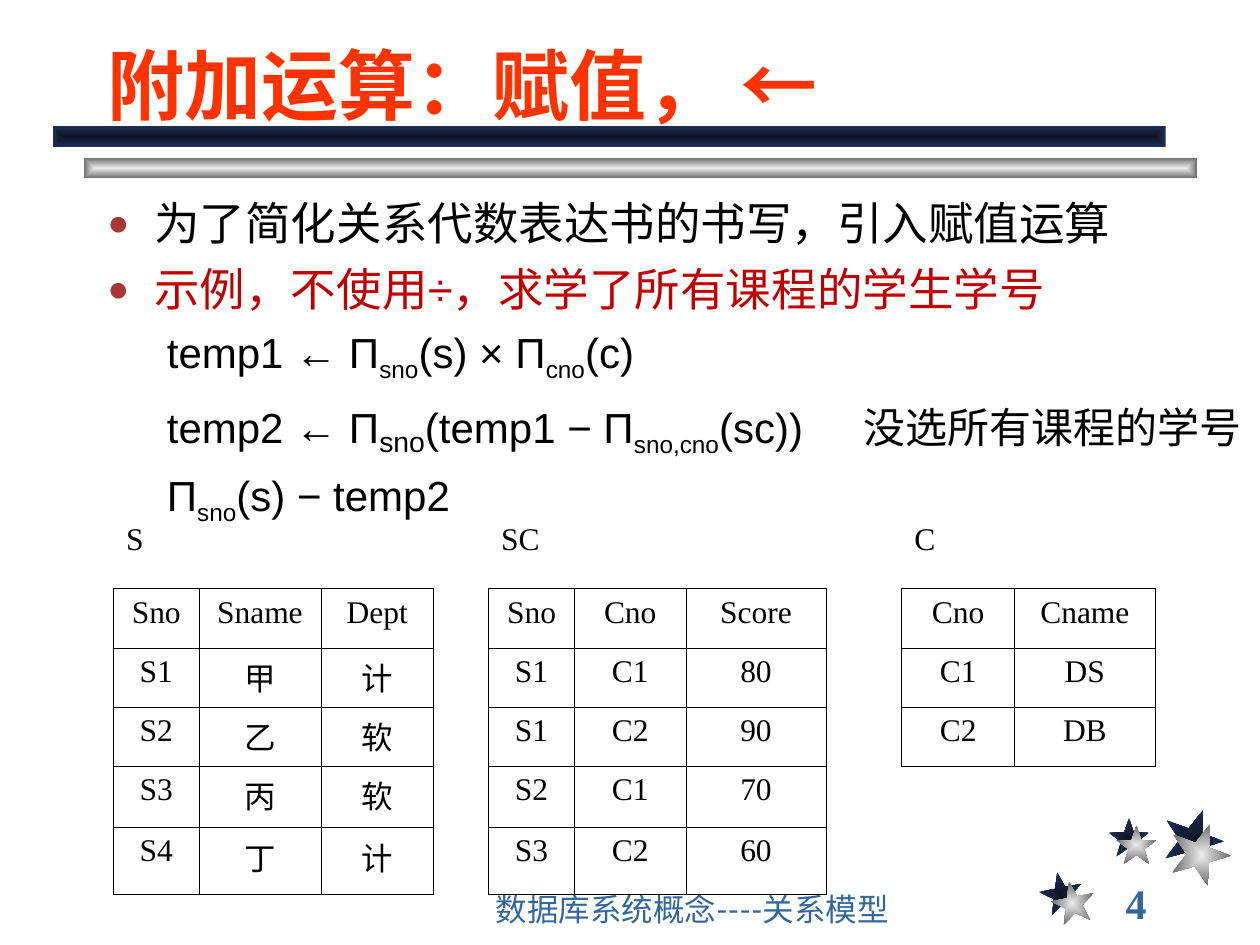
"""Build the slide on the assignment operation of relational algebra."""
from math import cos, pi, radians, sin
from typing import NamedTuple

from lxml.etree import SubElement
from pptx import Presentation
from pptx.dml.color import RGBColor
from pptx.enum.shapes import MSO_SHAPE
from pptx.enum.text import MSO_ANCHOR, MSO_AUTO_SIZE, PP_ALIGN
from pptx.oxml import parse_xml
from pptx.oxml.ns import nsdecls, qn
from pptx.util import Cm, Pt

COLORS = {
    "title": "FF3300", "text": "000000", "accent": "C00000", "bullet": "A73737",
    "footer": "336699", "navy": "0E1526", "navy_edge": "1E2E53",
    "silver": "EAEAEA", "silver_edge": "6C6C6C",
}
SERIF = "Times New Roman"


class Star(NamedTuple):
    x: float
    y: float
    radius: float
    tilt: float
    dx: float
    dy: float


class Run(NamedTuple):
    text: str
    size: float = 24
    baseline: int = 0


class Relation(NamedTuple):
    name: str
    column: int
    rows: list[str]


STARS = [
    Star(21.4, 18.04, 0.46, -11, 0.24, 0.19),
    Star(22.76, 16.92, 0.43, 0, 0.15, 0.15),
    Star(24.03, 16.94, 0.65, 20, 0.14, 0.29),
]
SNO = Run("sno", baseline=-25000)
BULLETS = [
    ("为了简化关系代数表达书的书写，引入赋值运算", "text"),
    ("示例，不使用÷，求学了所有课程的学生学号", "accent"),
]
FORMULAS = [
    [Run("temp1 ← Π"), SNO, Run("(s) × Π"), Run("cno", baseline=-25000), Run("(c)")],
    [Run("temp2 ← Π"), Run("sno", 28, -18000), Run("(temp1 − Π"),
     Run("sno,cno", baseline=-25000), Run("(sc))\t没选所有课程的学号")],
    [Run("Π"), SNO, Run("(s) − temp2")],
]
RELATIONS = [
    Relation("S", 0, ["Sno Sname Dept", "S1 甲 计", "S2 乙 软", "S3 丙 软", "S4 丁 计"]),
    Relation("SC", 4, ["Sno Cno Score", "S1 C1 80", "S1 C2 90", "S2 C1 70", "S3 C2 60"]),
    Relation("C", 8, ["Cno Cname", "C1 DS", "C2 DB"]),
]
COL_WIDTHS = [1.72, 2.46, 2.27, 1.11, 1.73, 2.25, 2.82, 1.53, 2.27, 2.84]
ROW_HEIGHTS = [1.46, 1.19, 1.19, 1.19, 1.24, 1.35]


def add_run(p, text: str, *, size: float = 18, font: str = "Arial",
            color: str = "text", bold: bool = False, baseline: int = 0) -> None:
    r = p.add_run()
    r.text = text
    r.font.size, r.font.name, r.font.bold = Pt(size), font, bold
    r.font.color.rgb = RGBColor.from_string(COLORS[color])
    if baseline:
        r.font._element.set("baseline", str(baseline))


def place(sp, left: float, top: float, width: float, height: float) -> None:
    sp.left, sp.top, sp.width, sp.height = map(Cm, (left, top, width, height))


def finish(sp, tone: str) -> None:
    sp.shadow.inherit = False
    sp.line.fill.background()
    sp.fill.gradient()
    grad = sp._element.spPr.find(qn("a:gradFill"))
    grad.getparent().replace(grad, parse_xml(
        f'<a:gradFill {nsdecls("a")} rotWithShape="1"><a:gsLst>'
        f'<a:gs pos="0"><a:srgbClr val="{COLORS[tone]}"/></a:gs>'
        f'<a:gs pos="100000"><a:srgbClr val="{COLORS[tone + "_edge"]}"/></a:gs></a:gsLst>'
        '<a:path path="rect"><a:fillToRect l="50000" t="50000" r="50000" b="50000"/>'
        '</a:path></a:gradFill>'))


def add_star(s, x: float, y: float, radius: float, tilt: float, tone: str) -> None:
    points = []
    for i in range(10):
        reach = radius * (0.38 if i % 2 else 1)
        angle = radians(tilt) + i * pi / 5
        points.append((Cm(x + reach * sin(angle)), Cm(y - reach * cos(angle))))
    builder = s.shapes.build_freeform(*points[0])
    builder.add_line_segments(points[1:], close=True)
    finish(builder.convert_to_shape(), tone)


def add_bar(s, left: float, top: float, tone: str) -> None:
    sp = s.shapes.add_shape(MSO_SHAPE.RECTANGLE, Cm(left), Cm(top), Cm(22.44), Cm(0.42))
    finish(sp, tone)


def add_label(s, text: str, box: tuple, anchor, wrap: bool, **style) -> None:
    tf = s.shapes.add_textbox(*map(Cm, box)).text_frame
    tf.word_wrap, tf.vertical_anchor = wrap, anchor
    add_run(tf.paragraphs[0], text, color="footer", **style)


def fill_title(sp) -> None:
    place(sp, 1.91, 0.42, 21.59, 2.33)
    tf = sp.text_frame
    tf.auto_size, tf.vertical_anchor = MSO_AUTO_SIZE.NONE, MSO_ANCHOR.BOTTOM
    p = tf.paragraphs[0]
    p.alignment = PP_ALIGN.LEFT
    add_run(p, "附加运算：赋值， ←", size=44, color="title", bold=True)


def fill_body(sp) -> None:
    place(sp, 1.91, 3.81, 23.49, 7.92)
    tf = sp.text_frame
    tf.auto_size = MSO_AUTO_SIZE.NONE
    for i, (text, color) in enumerate(BULLETS):
        p = tf.paragraphs[0] if i == 0 else tf.add_paragraph()
        pPr = p._p.get_or_add_pPr()
        pPr.set("marL", str(Cm(0.95)))
        pPr.set("indent", str(Cm(-0.95)))
        SubElement(SubElement(pPr, qn("a:buClr")), qn("a:srgbClr"), val=COLORS["bullet"])
        SubElement(pPr, qn("a:buSzPct"), val="80000")
        SubElement(pPr, qn("a:buChar"), char="●")
        p.space_before = Pt(6.5 if i else 0)
        add_run(p, text, size=26, color=color)
    for runs in FORMULAS:
        p = tf.add_paragraph()
        p.level = 1
        pPr = p._p.get_or_add_pPr()
        pPr.set("marL", "0")
        pPr.set("indent", str(Cm(1.2)))
        SubElement(pPr, qn("a:buNone"))
        SubElement(SubElement(pPr, qn("a:tabLst")), qn("a:tab"), pos=str(Cm(15.0)), algn="l")
        p.space_before = Pt(6)
        for run in runs:
            add_run(p, run.text, size=run.size, baseline=run.baseline)


def rule_cell(cell, sides: str) -> None:
    tcPr = cell._tc.get_or_add_tcPr()
    for i, side in enumerate(sides):
        tcPr.insert(i, parse_xml(
            f'<a:ln{side} {nsdecls("a")} w="{Pt(0.45)}"><a:solidFill>'
            f'<a:srgbClr val="{COLORS["text"]}"/></a:solidFill></a:ln{side}>'))


def add_relations(s) -> None:
    frame = s.shapes.add_table(len(ROW_HEIGHTS), len(COL_WIDTHS), Cm(2.29), Cm(10.41),
                               Cm(sum(COL_WIDTHS)), Cm(sum(ROW_HEIGHTS)))
    table = frame.table
    table.first_row = table.horz_banding = False
    table._tbl.tblPr.find(qn("a:tableStyleId")).text = "{2D5ABB26-0587-4C30-8999-92F81FD0307C}"
    for col, width in zip(table.columns, COL_WIDTHS):
        col.width = Cm(width)
    for row, height in zip(table.rows, ROW_HEIGHTS):
        row.height = Cm(height)
    for cell in table.iter_cells():
        cell.fill.background()
    for relation in RELATIONS:
        add_run(table.cell(0, relation.column).text_frame.paragraphs[0], relation.name, font=SERIF)
        for i, values in enumerate(relation.rows, 1):
            for j, value in enumerate(values.split(), relation.column):
                cell = table.cell(i, j)
                p = cell.text_frame.paragraphs[0]
                p.alignment = PP_ALIGN.CENTER
                add_run(p, value, font=SERIF)
                rule_cell(cell, "LRTB")


def main() -> None:
    prs = Presentation()
    prs.slide_width, prs.slide_height = Cm(25.4), Cm(19.05)
    s = prs.slides.add_slide(prs.slide_layouts[1])
    title, body = s.placeholders
    for star in STARS:
        add_star(s, star.x, star.y, star.radius, star.tilt, "navy")
    for star in STARS:
        add_star(s, star.x + star.dx, star.y + star.dy, star.radius, star.tilt, "silver")
    add_bar(s, 1.69, 3.18, "silver")
    add_bar(s, 1.06, 2.54, "navy")
    add_label(s, "4", (22.44, 17.78, 2.74, 0.84), MSO_ANCHOR.MIDDLE, False,
              size=24, font=SERIF, bold=True)
    add_label(s, "数据库系统概念----关系模型", (9.74, 17.99, 10.37, 0.84),
              MSO_ANCHOR.BOTTOM, True, font="Lato")
    for sp, fill in ((title, fill_title), (body, fill_body)):
        fill(sp)
        s.shapes._spTree.append(sp._element)
    add_relations(s)
    prs.save("out.pptx")


if __name__ == "__main__":
    main()
